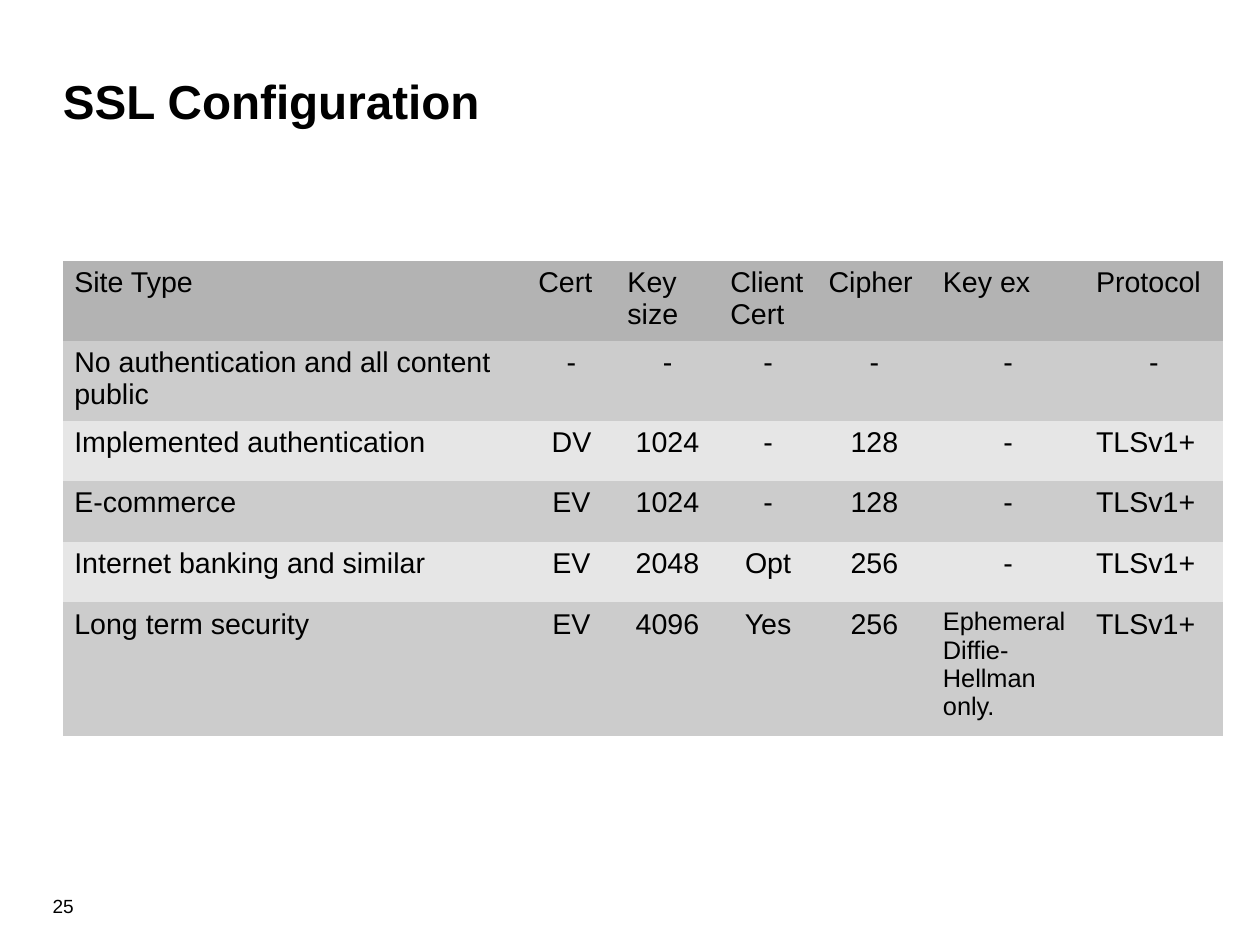
import pptx
import pptx.util
import pptx.dml.color
import pptx.enum.text
import pptx.oxml.ns

TITLE = "SSL Configuration"
PAGE = "25"
ROWS = [
    ("Site Type", "Cert", "Key size", "Client Cert", "Cipher", "Key ex", "Protocol"),
    ("No authentication and all content public", "-", "-", "-", "-", "-", "-"),
    ("Implemented authentication", "DV", "1024", "-", "128", "-", "TLSv1+"),
    ("E-commerce", "EV", "1024", "-", "128", "-", "TLSv1+"),
    ("Internet banking and similar", "EV", "2048", "Opt", "256", "-", "TLSv1+"),
    ("Long term security", "EV", "4096", "Yes", "256",
     "Ephemeral\nDiffie-\nHellman\nonly.", "TLSv1+"),
]
COL_WIDTHS = [4.06, 0.78, 0.9, 0.86, 1, 1.34, 1.21]
ROW_HEIGHTS = [0.7, 0.7, 0.53, 0.53, 0.53, 1.17]
COLORS = {"text": "000000", "header": "B3B3B3", "odd": "CCCCCC", "even": "E6E6E6"}
FONT = "Arial"
PLAIN_STYLE = "{2D5ABB26-0587-4C30-8999-92F81FD0307C}"
CM_PER_INCH = 2.54

Inches = pptx.util.Inches
PP_ALIGN = pptx.enum.text.PP_ALIGN
MSO_ANCHOR = pptx.enum.text.MSO_ANCHOR


def rgb(name):
    """Return the named colour."""
    return pptx.dml.color.RGBColor.from_string(COLORS[name])


def write(tf, text, size, bold=False, align=PP_ALIGN.LEFT):
    """Write text into a frame, one paragraph a line."""
    tf.word_wrap = True
    tf.text = text
    for p in tf.paragraphs:
        p.alignment = align
        p.font.name = FONT
        p.font.size = pptx.util.Pt(size)
        p.font.bold = bold
        p.font.color.rgb = rgb("text")


def add_text(s, box, text, size, bold=False, anchor=MSO_ANCHOR.TOP):
    """Add a text box without margins."""
    tf = s.shapes.add_textbox(*map(Inches, box)).text_frame
    tf.margin_left = tf.margin_right = tf.margin_top = tf.margin_bottom = 0
    tf.vertical_anchor = anchor
    write(tf, text, size, bold)


def add_site_table(s):
    """Add the table of settings by site type."""
    size = map(Inches, (0.55, 2.28, sum(COL_WIDTHS), sum(ROW_HEIGHTS)))
    frame = s.shapes.add_table(len(ROWS), len(COL_WIDTHS), *size)
    for style in frame.element.iter(pptx.oxml.ns.qn("a:tableStyleId")):
        style.text = PLAIN_STYLE
    table = frame.table
    table.first_row = table.horz_banding = False
    for col, width in zip(table.columns, COL_WIDTHS):
        col.width = Inches(width)
    for i, (row, height) in enumerate(zip(ROWS, ROW_HEIGHTS)):
        table.rows[i].height = Inches(height)
        band = "header" if i == 0 else "odd" if i % 2 else "even"
        for j, text in enumerate(row):
            cell = table.cell(i, j)
            cell.fill.solid()
            cell.fill.fore_color.rgb = rgb(band)
            centred = i > 0 and j > 0 and len(text) <= 4
            write(cell.text_frame, text, 16 if "\n" in text else 18,
                  align=PP_ALIGN.CENTER if centred else PP_ALIGN.LEFT)


def main():
    """Build the slide."""
    prs = pptx.Presentation()
    prs.slide_width = Inches(28 / CM_PER_INCH)
    prs.slide_height = Inches(21 / CM_PER_INCH)
    s = prs.slides.add_slide(prs.slide_layouts[6])
    add_text(s, (0.46, 7.83, 1.25, 0.25), PAGE, 12)
    add_text(s, (0.55, 0.25, 9.92, 1.25), TITLE, 30, True, MSO_ANCHOR.MIDDLE)
    add_site_table(s)
    prs.save("out.pptx")


if __name__ == "__main__":
    main()
